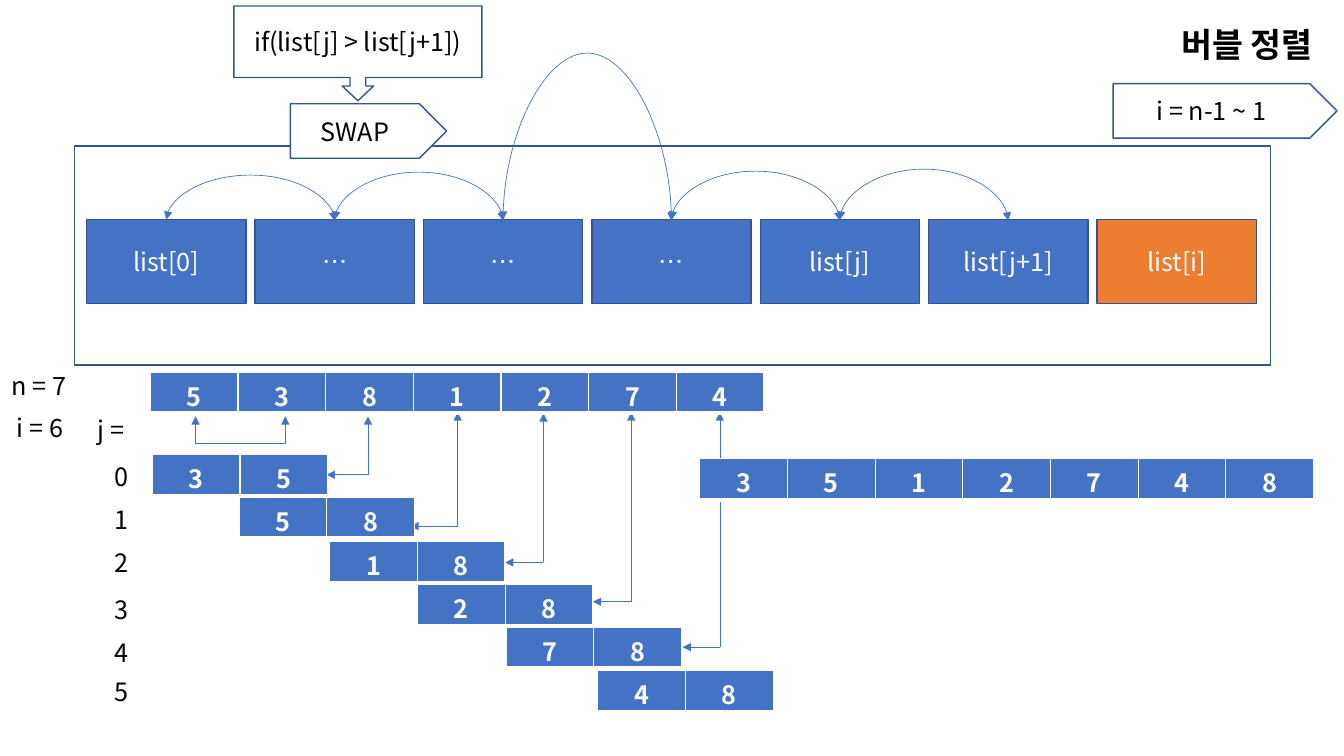
from lxml.etree import SubElement
from pptx import Presentation
from pptx.dml.color import RGBColor
from pptx.enum.shapes import MSO_CONNECTOR as Link, MSO_SHAPE as Shape
from pptx.enum.text import MSO_ANCHOR as Anchor, MSO_AUTO_SIZE as AutoSize, PP_ALIGN as Align
from pptx.oxml.ns import qn
from pptx.util import Inches, Pt

FONT = "Noto Sans CJK KR"
BLUE, NAVY, ORANGE, WHITE, BLACK = "4472C4", "325491", "ED7D31", "FFFFFF", "000000"

TITLE = "버블 정렬"
LIST_BOXES = ["list[0]", "…", "…", "…", "list[j]", "list[j+1]", "list[i]"]
LIST_LEFT, LIST_TOP, LIST_STEP, LIST_WIDTH, LIST_HEIGHT = 0.86, 2.18, 1.67, 1.58, 0.83
ARC_RISES = [0.45, 0.48, 1.68, 0.49, 0.51]
ARC_DEPTH = 0.01
CALLOUTS = [
    (Shape.RIGHT_ARROW, "SWAP", (2.88, 1.03, 1.55, 0.54), (1, 0.5)),
    (Shape.DOWN_ARROW_CALLOUT, "if(list[j] > list[j+1])", (2.32, 0.06, 2.46, 0.94),
     (0.166, 0.166, 0.156, 0.755)),
    (Shape.RIGHT_ARROW, "i = n-1 ~ 1", (11.04, 0.83, 2.22, 0.54), (1, 0.5)),
]
LABELS = [
    ("n = 7", 0.02, 3.62, 0.84), ("i = 6", 0.07, 4.04, 0.85), ("j =", 0.87, 4.06, 0.53),
    ("0", 1.04, 4.53, 0.34), ("1", 1.04, 4.95, 0.34), ("2", 1.04, 5.38, 0.34),
    ("3", 1.04, 5.85, 0.34), ("4", 1.04, 6.27, 0.34), ("5", 1.04, 6.66, 0.34),
]
ARRAYS = [
    ("5381274", 1.49, 3.69), ("35", 1.51, 4.51), ("58", 2.37, 4.93), ("18", 3.27, 5.37),
    ("28", 4.14, 5.8), ("78", 5.02, 6.22), ("48", 5.93, 6.65), ("3512748", 6.94, 4.55),
]
CELL_WIDTH, CELL_HEIGHT = 0.87, 0.41
FIRST_PAIR = (1.94, 2.83, 4.4, 4.13)
ELBOWS = [
    (3.65, 4.71, 3.24, 4.13), (4.54, 5.22, 4.07, 4.09), (5.39, 5.58, 5.01, 4.1),
    (6.26, 5.97, 5.88, 4.09), (7.14, 6.42, 6.77, 4.09),
]


def color(value):
    return RGBColor.from_string(value)


def inches(values):
    return [Inches(value) for value in values]


def write(frame, text, ink, align=Align.CENTER, size=18, bold=False):
    para = frame.paragraphs[0]
    para.text = text
    para.alignment = align
    para.font.name = FONT
    para.font.size = Pt(size)
    para.font.bold = bold
    para.font.color.rgb = color(ink)


def add_box(page, kind, place, fill=None, text=None, ink=BLACK, adjustments=()):
    box = page.shapes.add_shape(kind, *inches(place))
    box.shadow.inherit = False
    for index, value in enumerate(adjustments):
        box.adjustments[index] = value
    if fill:
        box.fill.solid()
        box.fill.fore_color.rgb = color(fill)
    else:
        box.fill.background()
    box.line.color.rgb = color(NAVY)
    box.line.width = Pt(1)
    if text:
        box.text_frame.vertical_anchor = Anchor.MIDDLE
        write(box.text_frame, text, ink)


def add_label(page, text, left, top, width):
    frame = page.shapes.add_textbox(*inches((left, top, width, 0.4))).text_frame
    frame.word_wrap = False
    frame.auto_size = AutoSize.SHAPE_TO_FIT_TEXT
    write(frame, text, BLACK, Align.LEFT)


def add_line(page, start, end, arrows=("tailEnd",), kind=Link.STRAIGHT):
    line = page.shapes.add_connector(kind, *inches(start + end))
    line.line.color.rgb = color(BLUE)
    line.line.width = Pt(0.5)
    outline = line.line._get_or_add_ln()
    for arrow in arrows:
        SubElement(outline, qn(f"a:{arrow}"), type="triangle")
    SubElement(line.element.spPr, qn("a:effectLst"))
    return line


def add_arc(page, left, rise):
    middle = left + LIST_STEP / 2
    center = LIST_TOP + ARC_DEPTH / 2
    start = (middle - ARC_DEPTH / 2, center - LIST_STEP / 2)
    end = (middle + ARC_DEPTH / 2, center + LIST_STEP / 2)
    arc = add_line(page, start, end, ("headEnd", "tailEnd"), Link.CURVE)
    frame = arc.element.spPr.find(qn("a:xfrm"))
    frame.set("rot", "16200000")
    frame.set("flipH", "1")
    guides = arc.element.spPr.find(qn("a:prstGeom")).find(qn("a:avLst"))
    bend = round(-rise / ARC_DEPTH * 100000)
    SubElement(guides, qn("a:gd"), name="adj1", fmla=f"val {bend}")


def add_array(page, digits, left, top):
    place = inches((left, top, CELL_WIDTH * len(digits), CELL_HEIGHT))
    table = page.shapes.add_table(1, len(digits), *place).table
    table.first_row = table.horz_banding = False
    for cell, digit in zip(table.rows[0].cells, digits):
        write(cell.text_frame, digit, WHITE, bold=True)
        properties = cell._tc.get_or_add_tcPr()
        for side, points in (("L", 1), ("R", 1), ("T", 1), ("B", 3)):
            border = SubElement(properties, qn(f"a:ln{side}"), w=str(Pt(points)))
            paint = SubElement(border, qn("a:solidFill"))
            SubElement(paint, qn("a:srgbClr"), val=WHITE)
        cell.fill.solid()
        cell.fill.fore_color.rgb = color(BLUE)


def main():
    deck = Presentation()
    deck.slide_width, deck.slide_height = inches((13.33, 7.5))
    page = deck.slides.add_slide(deck.slide_layouts[5])
    title = page.shapes.title
    title.left, title.top, title.width, title.height = inches((9.98, 0.19, 3.14, 0.5))
    title.text_frame.vertical_anchor = Anchor.TOP
    title.text_frame.auto_size = AutoSize.NONE
    write(title.text_frame, TITLE, BLACK, Align.RIGHT, 24, True)

    add_box(page, Shape.FLOWCHART_PROCESS, (0.74, 1.45, 11.86, 2.17))
    for index, text in enumerate(LIST_BOXES):
        place = (LIST_LEFT + index * LIST_STEP, LIST_TOP, LIST_WIDTH, LIST_HEIGHT)
        fill = ORANGE if text == "list[i]" else BLUE
        add_box(page, Shape.FLOWCHART_PROCESS, place, fill, text, WHITE)
    for index, rise in enumerate(ARC_RISES):
        add_arc(page, LIST_LEFT + LIST_WIDTH / 2 + index * LIST_STEP, rise)
    for kind, text, place, adjustments in CALLOUTS:
        add_box(page, kind, place, WHITE, text, BLACK, adjustments)
    for label in LABELS:
        add_label(page, *label)

    first, second, low, high = FIRST_PAIR
    add_line(page, (first, low), (second, low), ())
    for x in (first, second):
        add_line(page, (x, low), (x, high))
    for x, low, target, high in ELBOWS:
        add_line(page, (x, low), (target, low))
        add_line(page, (x, low), (x, high))
    for array in ARRAYS:
        add_array(page, *array)
    deck.save("out.pptx")


if __name__ == "__main__":
    main()
